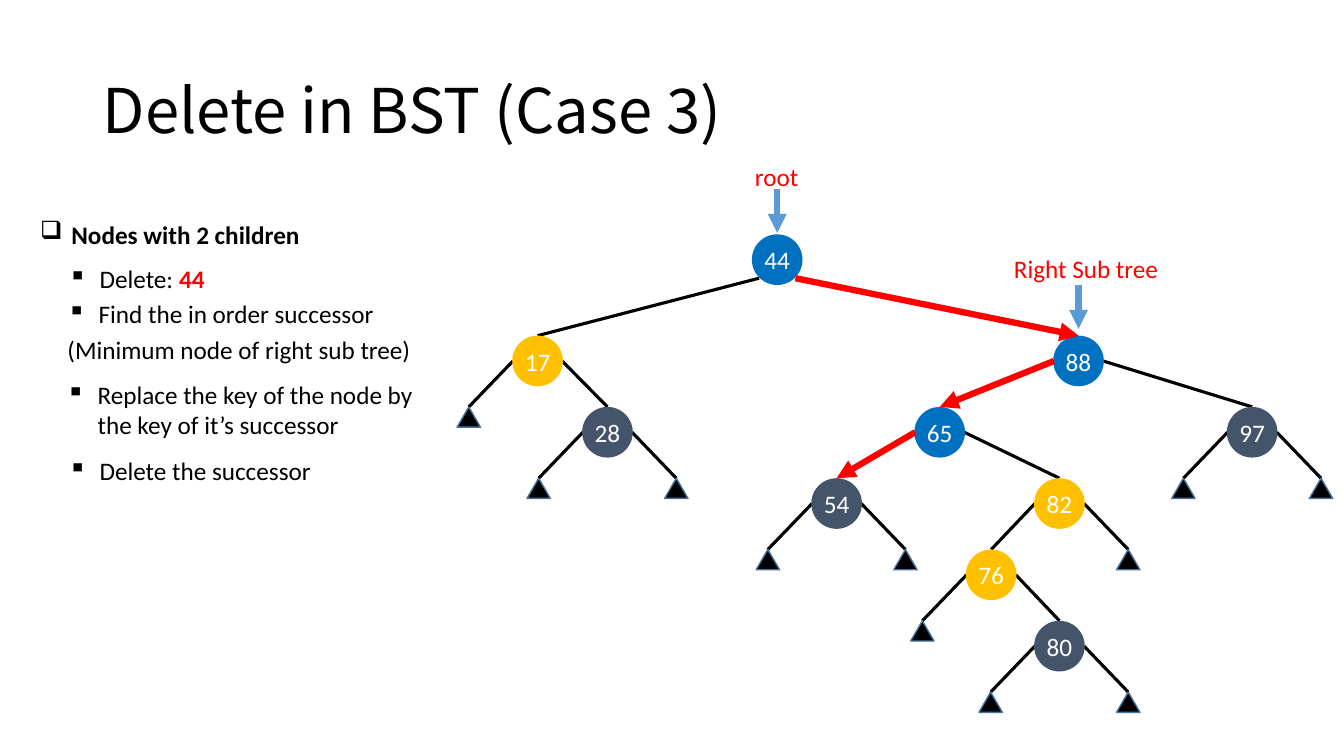
from dataclasses import dataclass
from typing import Optional

import pptx
import pptx.dml.color
import pptx.enum.shapes
import pptx.enum.text
import pptx.oxml.ns
import pptx.util
from lxml import etree

WIDE, HIGH = pptx.util.Inches(13.33), pptx.util.Inches(7.5)
FONT = "Calibri"
BLACK, WHITE, RED = "000000", "FFFFFF", "FF0000"
BLUE, GOLD, SLATE, SKY = "0070C0", "FFC000", "44546A", "5B9BD5"
# Tree sizes, in hundredths of the slide
NODE_W, NODE_H = 3.77, 6.7
LEAF_W, LEAF_H, LEAF_GAP = 1.74, 2.67, 5.12
FIRST, STEP = 44.4, 9.43
SHAPE = pptx.enum.shapes.MSO_SHAPE
ALIGN = pptx.enum.text.PP_ALIGN


@dataclass
class Node:
    mid: float
    level: int
    fill: str
    left: Optional[int] = None
    right: Optional[int] = None


@dataclass
class Note:
    x: float
    y: float
    wide: float
    runs: list[tuple[str, str, bool]]
    mark: str = ""
    high: float = 5.39
    wrap: bool = False


@dataclass
class Edge:
    x1: float
    y1: float
    x2: float
    y2: float


TREE = {
    44: Node(57.83, 0, BLUE, 17, 88),
    17: Node(40, 1, GOLD, None, 28),
    88: Node(80.25, 1, BLUE, 65, 97),
    28: Node(45.2, 2, SLATE),
    65: Node(69.92, 2, BLUE, 54, 82),
    97: Node(93.17, 2, SLATE),
    54: Node(62.25, 3, SLATE),
    82: Node(78.83, 3, GOLD, 76, None),
    76: Node(73.75, 4, GOLD, None, 80),
    80: Node(78.83, 5, SLATE),
}
TRAIL = {(44, 88), (88, 65), (65, 54)}

NOTES = [
    Note(2.25, 28.3, 22.65, [("Nodes with 2 children", BLACK, True)], "❑"),
    Note(4.35, 34.2, 12, [("Delete: ", BLACK, False), ("44", RED, True)], "▪"),
    Note(4.28, 38.8, 25.35, [("Find the in order successor", BLACK, False)], "▪"),
    Note(4.28, 43.5, 28.5, [("(Minimum node of right sub tree)", BLACK, False)]),
    Note(4.2, 49.5, 28.57,
         [("Replace the key of the node by the key of it’s successor", BLACK, False)],
         "▪", 9.45, True),
    Note(4.35, 59.6, 20.03, [("Delete the successor", BLACK, False)], "▪"),
    Note(55.43, 20.7, 4.8, [("root", RED, False)]),
    Note(74.7, 32.8, 12.9, [("Right Sub tree", RED, False)]),
]
POINTS = [Edge(57.83, 25.07, 57.83, 30.8), Edge(80.25, 37.73, 80.25, 43.5)]


def col(share: float) -> int:
    return round(WIDE * share / 100)


def row(share: float) -> int:
    return round(HIGH * share / 100)


def tint(code: str):
    return pptx.dml.color.RGBColor.from_string(code)


def top(level: int) -> float:
    return FIRST + STEP * (level - 1) if level else 31


def add_line(page, edge: Edge, color: str, width: float, arrow: bool = False) -> None:
    line = page.shapes.add_connector(
        pptx.enum.shapes.MSO_CONNECTOR.STRAIGHT,
        col(edge.x1), row(edge.y1), col(edge.x2), row(edge.y2))
    line.line.color.rgb = tint(color)
    line.line.width = pptx.util.Pt(width)
    if arrow:
        etree.SubElement(line.line._get_or_add_ln(),
                         pptx.oxml.ns.qn("a:tailEnd"), type="triangle")
    etree.SubElement(line._element.spPr, pptx.oxml.ns.qn("a:effectLst"))


def add_leaf(page, mid: float, y: float) -> None:
    leaf = page.shapes.add_shape(SHAPE.ISOSCELES_TRIANGLE, col(mid - LEAF_W / 2),
                                 row(y), col(LEAF_W), row(LEAF_H))
    leaf.shadow.inherit = False
    leaf.fill.solid()
    leaf.fill.fore_color.rgb = tint(BLACK)
    leaf.line.color.rgb = tint("43739E")
    leaf.line.width = pptx.util.Pt(1)


def add_node(page, key: int, node: Node) -> None:
    disc = page.shapes.add_shape(SHAPE.OVAL, col(node.mid - NODE_W / 2),
                                 row(top(node.level)), col(NODE_W), row(NODE_H))
    disc.shadow.inherit = False
    disc.fill.solid()
    disc.fill.fore_color.rgb = tint(node.fill)
    disc.line.fill.background()
    frame = disc.text_frame
    frame.margin_left = frame.margin_right = frame.margin_top = frame.margin_bottom = 0
    frame.word_wrap = False
    frame.vertical_anchor = pptx.enum.text.MSO_ANCHOR.MIDDLE
    para = frame.paragraphs[0]
    para.text = str(key)
    para.alignment = ALIGN.CENTER
    set_font(para.font, WHITE)


def set_font(font, color: str, size: float = 18, name: str = FONT) -> None:
    font.name, font.size = name, pptx.util.Pt(size)
    font.color.rgb = tint(color)


def add_note(page, note: Note) -> None:
    box = page.shapes.add_textbox(col(note.x), row(note.y), col(note.wide), row(note.high))
    box.text_frame.word_wrap = note.wrap
    para = box.text_frame.paragraphs[0]
    if note.mark:
        props = para._p.get_or_add_pPr()
        dent = pptx.util.Inches(0.31)
        props.set("marL", str(dent))
        props.set("indent", str(-dent))
        etree.SubElement(props, pptx.oxml.ns.qn("a:buChar"), char=note.mark)
    set_font(para.font, note.runs[0][1])
    for text, color, bold in note.runs:
        run = para.add_run()
        run.text = text
        run.font.bold = bold
        set_font(run.font, color)


def add_tree(page) -> None:
    trail = []
    for key, node in TREE.items():
        for side, kid in ((-1, node.left), (1, node.right)):
            # Edges leave the root low down, other nodes at mid height
            away, drop = (1.83, NODE_H / 2) if node.level else (1.35, 5.8)
            end = TREE[kid].mid if kid else node.mid + side * LEAF_GAP
            low = top(node.level + 1)
            edge = Edge(node.mid + side * away, top(node.level) + drop, end, low)
            if (key, kid) in TRAIL:
                trail.append(edge)
            else:
                add_line(page, edge, BLACK, 2.25)
            if kid is None:
                add_leaf(page, end, low)
    for key, node in TREE.items():
        add_node(page, key, node)
    for edge in trail:
        add_line(page, edge, RED, 4.5, True)


def main() -> None:
    deck = pptx.Presentation()
    deck.slide_width, deck.slide_height = WIDE, HIGH
    page = deck.slides.add_slide(deck.slide_layouts[5])

    # Title
    title = page.shapes.title
    title.left, title.top, title.width, title.height = col(6.9), row(5.33), col(86.25), row(19.33)
    frame = title.text_frame
    frame.word_wrap = True
    frame.auto_size = pptx.enum.text.MSO_AUTO_SIZE.NONE
    frame.vertical_anchor = pptx.enum.text.MSO_ANCHOR.MIDDLE
    para = frame.paragraphs[0]
    para.text = "Delete in BST (Case 3)"
    para.alignment, para.line_spacing = ALIGN.LEFT, 0.9
    set_font(para.font, BLACK, 44, "Noto Sans CJK SC")

    # Tree, pointers and notes
    add_tree(page)
    for edge in POINTS:
        add_line(page, edge, SKY, 4.5, True)
    for note in NOTES:
        add_note(page, note)
    deck.save("out.pptx")


if __name__ == "__main__":
    main()
